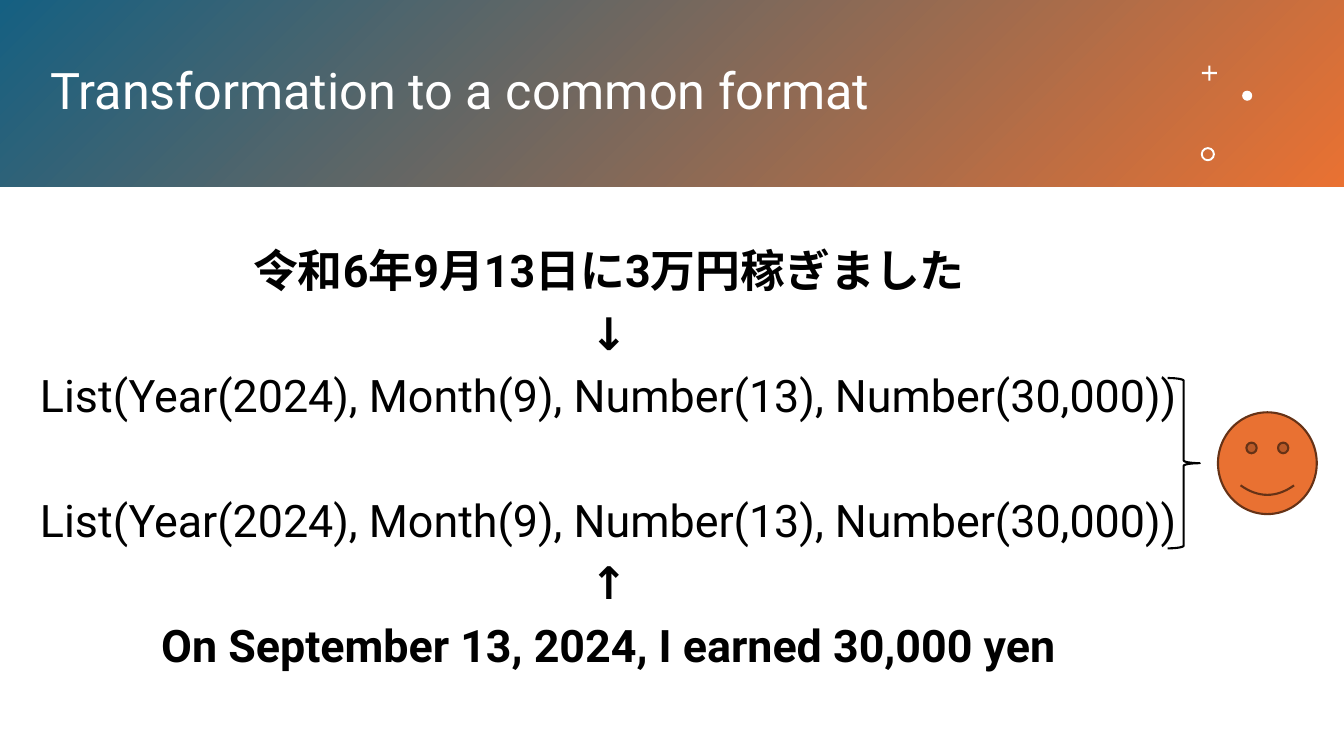
from pptx import Presentation
from pptx import util as u
from pptx.dml.color import RGBColor
from pptx.enum import shapes, text

BLUE = RGBColor(0x15, 0x60, 0x82)
ORANGE = RGBColor(0xE9, 0x71, 0x32)
BROWN = RGBColor(0x66, 0x32, 0x16)
WHITE = RGBColor(0xFF, 0xFF, 0xFF)
BLACK = RGBColor(0, 0, 0)

COMMON_FORMAT = "List(Year(2024), Month(9), Number(13), Number(30,000))"
STEPS = [
    ("令和6年9月13日に3万円稼ぎました", True, 10),
    ("↓", True, 10),
    (COMMON_FORMAT, False, 10),
    (COMMON_FORMAT, False, 54.5),
    ("↑", True, 10),
    ("On September 13, 2024, I earned 30,000 yen", True, 10),
]


def apply_format(target, values):
    """Set each named attribute on the target."""
    for name, value in values.items():
        setattr(target, name, value)


def place(target, box):
    """Move a shape to a box of left, top, width and height in inches."""
    names = ("left", "top", "width", "height")
    apply_format(target, dict(zip(names, map(u.Inches, box))))


def add_preset(page, kind, box, fill=None, line=None):
    """Add a preset shape without shadow, with optional fill and line colours."""
    shape = page.shapes.add_shape(kind, *map(u.Inches, box))
    shape.shadow.inherit = False
    if fill is None:
        shape.fill.background()
    else:
        shape.fill.solid()
        shape.fill.fore_color.rgb = fill
    if line is None:
        shape.line.fill.background()
    else:
        shape.line.color.rgb = line
        shape.line.width = u.Pt(1.5)
    return shape


def write_line(para, words, size, color, bold, **layout):
    """Write one formatted line of text into a paragraph."""
    apply_format(para, {"line_spacing": 0.9, **layout})
    span = para.add_run()
    span.text = words
    apply_format(span.font, {"name": "Roboto", "size": u.Pt(size), "bold": bold})
    span.font.color.rgb = color


def add_header(page, box, heading):
    """Draw the gradient banner with its title and ornaments."""
    left, top, width, height = box
    banner = add_preset(page, shapes.MSO_SHAPE.RECTANGLE, box)
    banner.fill.gradient()
    banner.fill.gradient_angle = 315
    for stop, color, position in zip(banner.fill.gradient_stops, (BLUE, ORANGE), (0, 1)):
        stop.color.rgb = color
        stop.position = position

    title = page.shapes.title
    title.element.addprevious(banner.element)
    place(title, (left + 0.4, top + 0.33, width - 2.07, height - 0.66))
    apply_format(title.text_frame, {
        "word_wrap": True,
        "auto_size": text.MSO_AUTO_SIZE.NONE,
        "vertical_anchor": text.MSO_ANCHOR.MIDDLE,
    })
    write_line(title.text_frame.paragraphs[0], heading, 36, WHITE, False,
               alignment=text.PP_ALIGN.LEFT)

    right = left + width
    ornaments = [
        (shapes.MSO_SHAPE.CROSS, 1.41, 0.65, 0.15, 0.43),
        (shapes.MSO_SHAPE.OVAL, 1.01, 0.9, 0.1, None),
        (shapes.MSO_SHAPE.DONUT, 1.42, 1.46, 0.14, 0.14),
    ]
    for kind, inset, drop, size, adjustment in ornaments:
        ornament = add_preset(page, kind, (right - inset, top + drop, size, size), WHITE)
        if adjustment is not None:
            ornament.adjustments[0] = adjustment


def add_steps(page, box):
    """Write the two sentences and the common format they both become."""
    frame = page.shapes.add_textbox(*map(u.Inches, box)).text_frame
    frame.word_wrap = True
    for index, (words, bold, gap) in enumerate(STEPS):
        para = frame.add_paragraph() if index else frame.paragraphs[0]
        write_line(para, words, 32, BLACK, bold,
                   alignment=text.PP_ALIGN.CENTER, space_before=u.Pt(gap))


def add_verdict(page, box):
    """Draw the brace joining both results and the smiley beside it."""
    left, top, width, height = box
    add_preset(page, shapes.MSO_SHAPE.RIGHT_BRACE, (left, top, 0.32, height), line=BLACK)
    face_width, face_height = 0.98, 1.01
    face = (left + width - face_width, top + (height - face_height) / 2,
            face_width, face_height)
    add_preset(page, shapes.MSO_SHAPE.SMILEY_FACE, face, ORANGE, BROWN)


def main():
    """Build the slide and save the deck."""
    deck = Presentation()
    apply_format(deck, {"slide_width": u.Inches(13.33), "slide_height": u.Inches(7.5)})
    page = deck.slides.add_slide(deck.slide_layouts.get_by_name("Title Only"))
    add_header(page, (0, 0, 13.33, 1.85), "Transformation to a common format")
    add_steps(page, (0.29, 2.42, 11.5, 4.4))
    add_verdict(page, (11.58, 3.75, 1.48, 1.69))
    deck.save("out.pptx")


if __name__ == "__main__":
    main()
